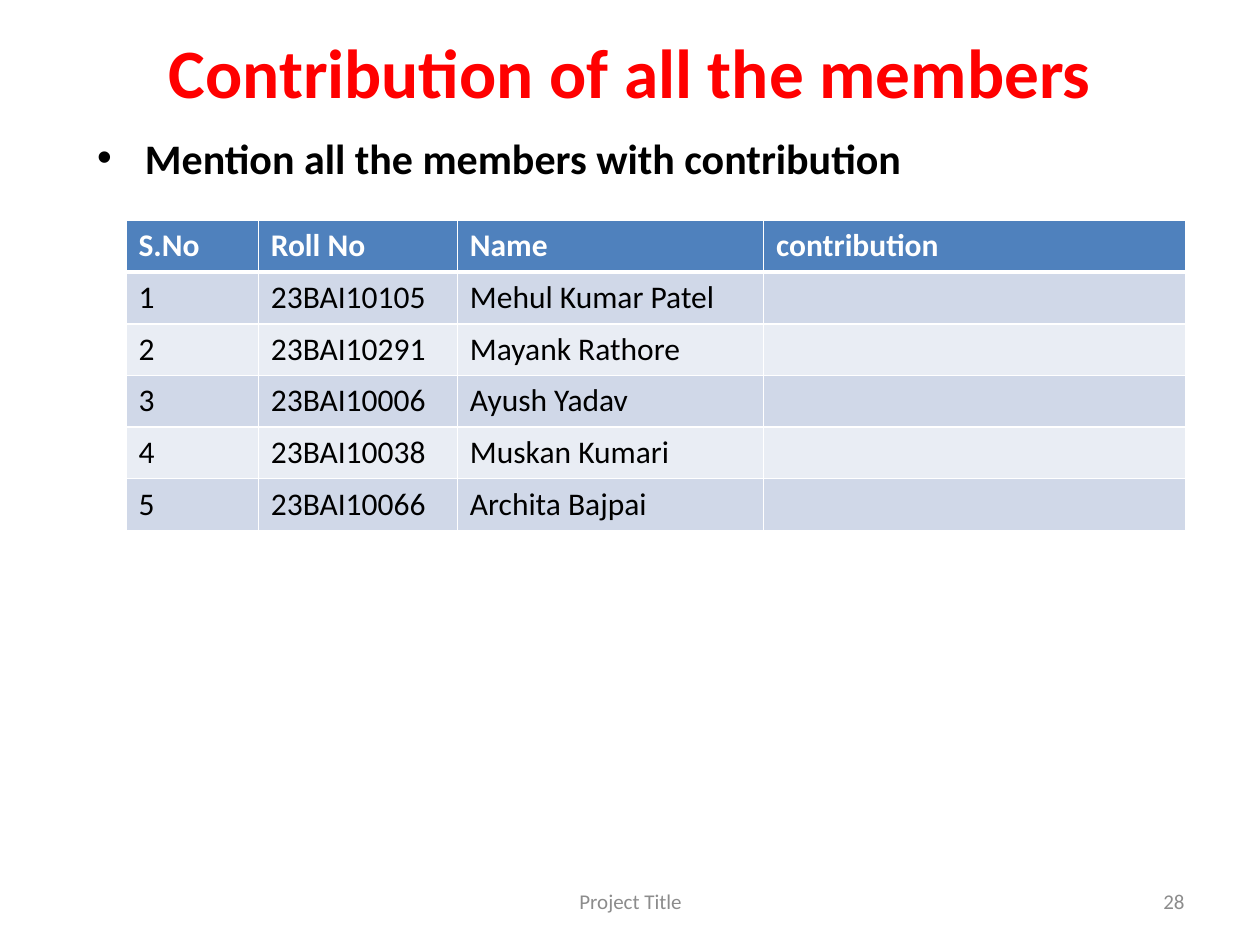
from pptx import Presentation
from pptx.dml.color import RGBColor
from pptx.enum.text import MSO_ANCHOR as Anchor, MSO_AUTO_SIZE as Fit, PP_ALIGN as Align
from pptx.oxml.ns import qn
from pptx.util import Inches, Pt
from lxml.etree import SubElement as Sub

RED, BLACK, WHITE, GREY = "FF0000", "000000", "FFFFFF", "8C8C8C"
HEAD, BANDS = "4F81BD", ("D0D8E8", "E9EDF4")


def paint(color):
    return RGBColor.from_string(color)


class Deck:
    font = "Calibri"

    def __init__(self, width, height):
        self.prs = Presentation()
        self.prs.slide_width = Inches(width)
        self.prs.slide_height = Inches(height)
        self.slide = self.prs.slides.add_slide(self.prs.slide_layouts[1])

    def run(self, para, text, size, color, bold=False):
        run = para.add_run()
        run.text = text
        font = run.font
        font.name, font.size, font.bold = self.font, Pt(size), bold
        font.color.rgb = paint(color)

    def place(self, shape, box):
        shape.left, shape.top, shape.width, shape.height = map(Inches, box)
        frame = shape.text_frame
        frame.word_wrap, frame.auto_size = True, Fit.NONE
        return frame

    def title(self, text, box):
        frame = self.place(self.slide.shapes.title, box)
        frame.vertical_anchor = Anchor.MIDDLE
        para = frame.paragraphs[0]
        para.alignment = Align.CENTER
        self.run(para, text, 39.6, RED, True)

    def bullet(self, text, box):
        frame = self.place(self.slide.placeholders[1], box)
        para = frame.paragraphs[0]
        props = para._p.get_or_add_pPr()
        props.set("marL", str(Inches(0.63)))
        props.set("indent", str(Inches(-0.38)))
        Sub(props, qn("a:buFont")).set("typeface", "Arial")
        Sub(props, qn("a:buChar")).set("char", "•")
        para.space_before = Pt(0)
        self.run(para, text, 24, BLACK, True)

    def note(self, text, box, align):
        shape = self.slide.shapes.add_textbox(*map(Inches, box))
        frame = self.place(shape, box)
        frame.vertical_anchor = Anchor.MIDDLE
        para = frame.paragraphs[0]
        para.alignment = align
        self.run(para, text, 12, GREY)

    def edge(self, cell, side, width):
        line = Sub(cell._tc.get_or_add_tcPr(), qn("a:ln" + side))
        line.set("w", str(Pt(width)))
        fill = Sub(line, qn("a:solidFill"))
        Sub(fill, qn("a:srgbClr")).set("val", WHITE)

    def table(self, rows, left, top, widths, height):
        frame = self.slide.shapes.add_table(
            len(rows), len(widths), Inches(left), Inches(top),
            Inches(sum(widths)), Inches(height * len(rows)))
        grid = frame.table
        for col, width in zip(grid.columns, widths):
            col.width = Inches(width)
        for i, row in enumerate(rows):
            grid.rows[i].height = Inches(height)
            head = i == 0
            for j, text in enumerate(row):
                cell = grid.cell(i, j)
                # Thick rule between the header and the first row
                edges = {"L": 1, "R": 1, "T": 3 if i == 1 else 1, "B": 3 if head else 1}
                for side, width in edges.items():
                    self.edge(cell, side, width)
                cell.fill.solid()
                cell.fill.fore_color.rgb = paint(HEAD if head else BANDS[(i - 1) % 2])
                if text:
                    para = cell.text_frame.paragraphs[0]
                    self.run(para, text, 18, WHITE if head else BLACK, head)


def main():
    deck = Deck(10, 7.5)

    # Title and lead line
    deck.title("Contribution of all the members", (0.5, 0.25, 9, 0.62))
    deck.bullet("Mention all the members with contribution", (0.42, 1, 9.25, 4.95))

    # Footer
    deck.note("Project Title", (3.42, 6.95, 3.17, 0.4), Align.CENTER)
    deck.note("28", (7.17, 6.95, 2.33, 0.4), Align.RIGHT)

    # Members
    members = [
        ("23BAI10105", "Mehul Kumar Patel"),
        ("23BAI10291", "Mayank Rathore"),
        ("23BAI10006", "Ayush Yadav"),
        ("23BAI10038", "Muskan Kumari"),
        ("23BAI10066", "Archita Bajpai"),
    ]
    rows = [("S.No", "Roll No", "Name", "contribution")]
    rows += [(str(n), roll, name, "") for n, (roll, name) in enumerate(members, 1)]
    deck.table(rows, 1, 1.75, (1.05, 1.58, 2.43, 3.35), 0.41)

    deck.prs.save("out.pptx")


if __name__ == "__main__":
    main()
